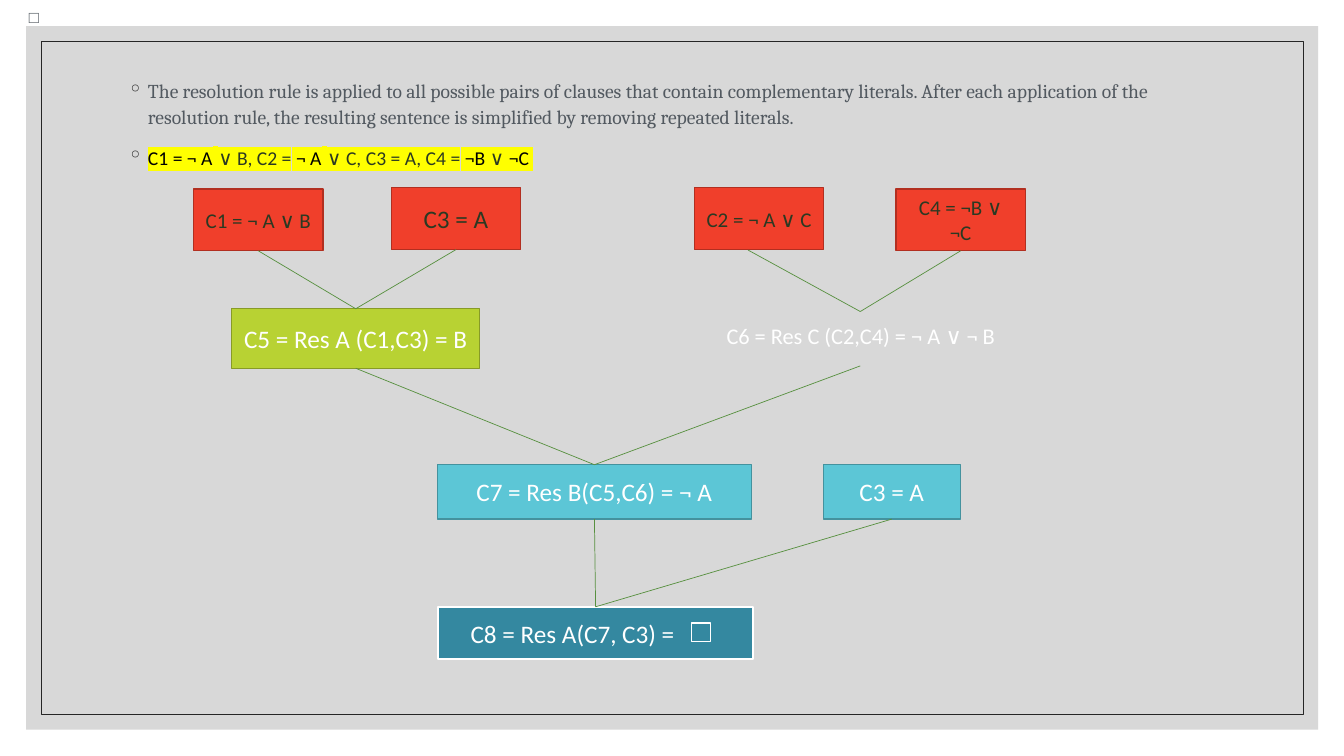
import pptx
import pptx.dml.color
import pptx.enum.shapes
import pptx.enum.text
import pptx.oxml
import pptx.oxml.ns
import pptx.util
from lxml import etree

Cm = pptx.util.Cm
Pt = pptx.util.Pt
Align = pptx.enum.text.PP_ALIGN
Anchor = pptx.enum.text.MSO_ANCHOR
qn = pptx.oxml.ns.qn

TOP, BOTTOM = 0, 2
GREY, DARK, INK, YELLOW = "525960", "2B3922", "000000", "FFFF00"
RED, LIME, CYAN = ("F03F2B", "B22F20"), ("B8D233", "889B26"), ("5CC6D6", "44929E")


def rgb(code):
    return pptx.dml.color.RGBColor.from_string(code)


class ResolutionSlide:
    def __init__(self, slide):
        self.slide = slide
        self.font = "Calibri"
        self.text_color = "FFFFFF"
        self.link_color = "57903F"

    def style_run(self, run, size, color=None, font=None, highlight=None):
        run.font.size = Pt(size)
        run.font.name = font or self.font
        run.font.color.rgb = rgb(color or self.text_color)
        if highlight:
            mark = etree.Element(qn("a:highlight"))
            etree.SubElement(mark, qn("a:srgbClr"), val=highlight)
            run.font._element.find(qn("a:solidFill")).addnext(mark)

    def rectangle(self, place, fill=None, line=None, width=1, alpha=None):
        """Draw a rectangle; alpha is its opacity in percent."""
        shape = self.slide.shapes.add_shape(
            pptx.enum.shapes.MSO_SHAPE.RECTANGLE, *map(Cm, place))
        shape.shadow.inherit = False
        if fill:
            shape.fill.solid()
            shape.fill.fore_color.rgb = rgb(fill)
        else:
            shape.fill.background()
        if alpha:
            color = shape.fill._xPr.find(qn("a:solidFill"))[0]
            etree.SubElement(color, qn("a:alpha"), val=str(alpha * 1000))
        if line:
            shape.line.color.rgb = rgb(line)
            shape.line.width = Pt(width)
        else:
            shape.line.fill.background()
        return shape

    def clause(self, text, place, colors, size=18, text_color=None, width=1):
        shape = self.rectangle(place, *colors, width)
        frame = shape.text_frame
        frame.word_wrap = True
        frame.vertical_anchor = Anchor.MIDDLE
        frame.text = text
        frame.paragraphs[0].alignment = Align.CENTER
        self.style_run(frame.paragraphs[0].runs[0], size, text_color)
        return shape

    def label(self, text, place, size, color=None, font=None):
        frame = self.slide.shapes.add_textbox(*map(Cm, place)).text_frame
        frame.word_wrap = False
        frame.text = text
        self.style_run(frame.paragraphs[0].runs[0], size, color, font)
        return frame

    def bullets(self, items, place):
        """Write a bulleted list; each item is a list of (text, style) runs."""
        frame = self.slide.shapes.add_textbox(*map(Cm, place)).text_frame
        frame.word_wrap = True
        for index, item in enumerate(items):
            paragraph = frame.add_paragraph() if index else frame.paragraphs[0]
            properties = paragraph._p.get_or_add_pPr()
            properties.set("marL", str(Cm(0.51)))
            properties.set("indent", str(Cm(-0.51)))
            color = etree.SubElement(properties, qn("a:buClr"))
            etree.SubElement(color, qn("a:srgbClr"), val="262626")
            etree.SubElement(properties, qn("a:buChar"), char="◦")
            paragraph.line_spacing = 1.1
            if index:
                paragraph.space_before = Pt(9)
            for text, style in item:
                run = paragraph.add_run()
                run.text = text
                self.style_run(run, *style)

    def link(self, start, end):
        """Draw a line; each end is a (shape, side) pair or an (x, y) point in cm."""
        connector = self.slide.shapes.add_connector(
            pptx.enum.shapes.MSO_CONNECTOR.STRAIGHT, 0, 0, 0, 0)
        if isinstance(start[0], float):
            connector.begin_x, connector.begin_y = map(Cm, start)
        else:
            connector.begin_connect(*start)
        if isinstance(end[0], float):
            connector.end_x, connector.end_y = map(Cm, end)
        else:
            connector.end_connect(*end)
        connector.line.color.rgb = rgb(self.link_color)
        connector.line.width = Pt(0.5)
        etree.SubElement(connector._element.spPr, qn("a:effectLst"))


def main():
    presentation = pptx.Presentation()
    presentation.slide_width, presentation.slide_height = Cm(33.87), Cm(19.05)
    page = ResolutionSlide(
        presentation.slides.add_slide(presentation.slide_layouts[6]))

    page.rectangle((0.66, 0.66, 32.56, 17.73), "BFBFBF", alpha=60)
    page.rectangle((1.04, 1.04, 31.8, 16.97), line="262626", width=0.5)

    plain = (14, GREY, "Cambria")
    dark = (14, DARK, "Calibri", YELLOW)
    black = (14, INK, "Calibri", YELLOW)
    gap = (16, GREY, "Times New Roman", YELLOW)
    page.bullets([
        [("The resolution rule is applied to all possible pairs of clauses that "
          "contain complementary literals. After each application of the "
          "resolution rule, the resulting sentence is simplified by removing "
          "repeated literals.", plain)],
        [("C1 = ¬ A", black), (" ", gap), ("∨ B, C2 =", dark), (" ¬ A", black),
         (" ", gap), ("∨ C, C3 = A, C4 =", dark), (" ¬B ", black),
         ("∨ ", dark), ("¬C", black), (" ", dark)],
    ], (2.97, 1.8, 27.94, 3))

    c1, c3, c2, c4 = [
        page.clause(text, (left, top, 3.26, 1.56), RED, size, DARK)
        for text, left, top, size in (
            ("C1 = ¬ A ∨ B", 4.88, 4.76, 15),
            ("C3 = A", 9.86, 4.73, 18),
            ("C2 = ¬ A ∨ C", 17.5, 4.73, 15),
            ("C4 = ¬B ∨ ¬C", 22.58, 4.76, 15))]
    c5 = page.clause("C5 = Res A (C1,C3) = B", (5.84, 7.78, 6.25, 1.5), LIME)
    page.label("C6 = Res C (C2,C4) = ¬ A ∨ ¬ B", (18.06, 8, 7.47, 0.94), 16)
    c7 = page.clause("C7 = Res B(C5,C6) = ¬ A", (11.02, 11.71, 7.92, 1.37), CYAN)
    c3_again = page.clause("C3 = A", (20.75, 11.71, 3.45, 1.37), CYAN)
    c8 = page.clause("C8 = Res A(C7, C3) =", (11.05, 15.29, 7.92, 1.32),
                     ("3488A0", "FFFFFF"), width=1.5)
    c8.text_frame.paragraphs[0].alignment = Align.LEFT
    c8.text_frame.margin_left = Cm(0.81)
    page.rectangle((17.42, 15.7, 0.48, 0.46), line="FFFFFF")

    c6_top, c6_bottom = (21.68, 7.85), (21.68, 9.22)
    for start, end in (
            ((c1, BOTTOM), (c5, TOP)),
            ((c3, BOTTOM), (c5, TOP)),
            ((18.85, 6.3), c6_top),
            ((c4, BOTTOM), c6_top),
            ((c5, BOTTOM), (c7, TOP)),
            (c6_bottom, (c7, TOP)),
            ((c7, BOTTOM), (c8, TOP)),
            ((c3_again, BOTTOM), (c8, TOP))):
        page.link(start, end)

    corner = page.label("□", (0.48, 0.03, 0.8, 0.8), 12, GREY, "Times New Roman")
    corner.vertical_anchor = Anchor.MIDDLE

    presentation.save("out.pptx")


if __name__ == "__main__":
    main()
